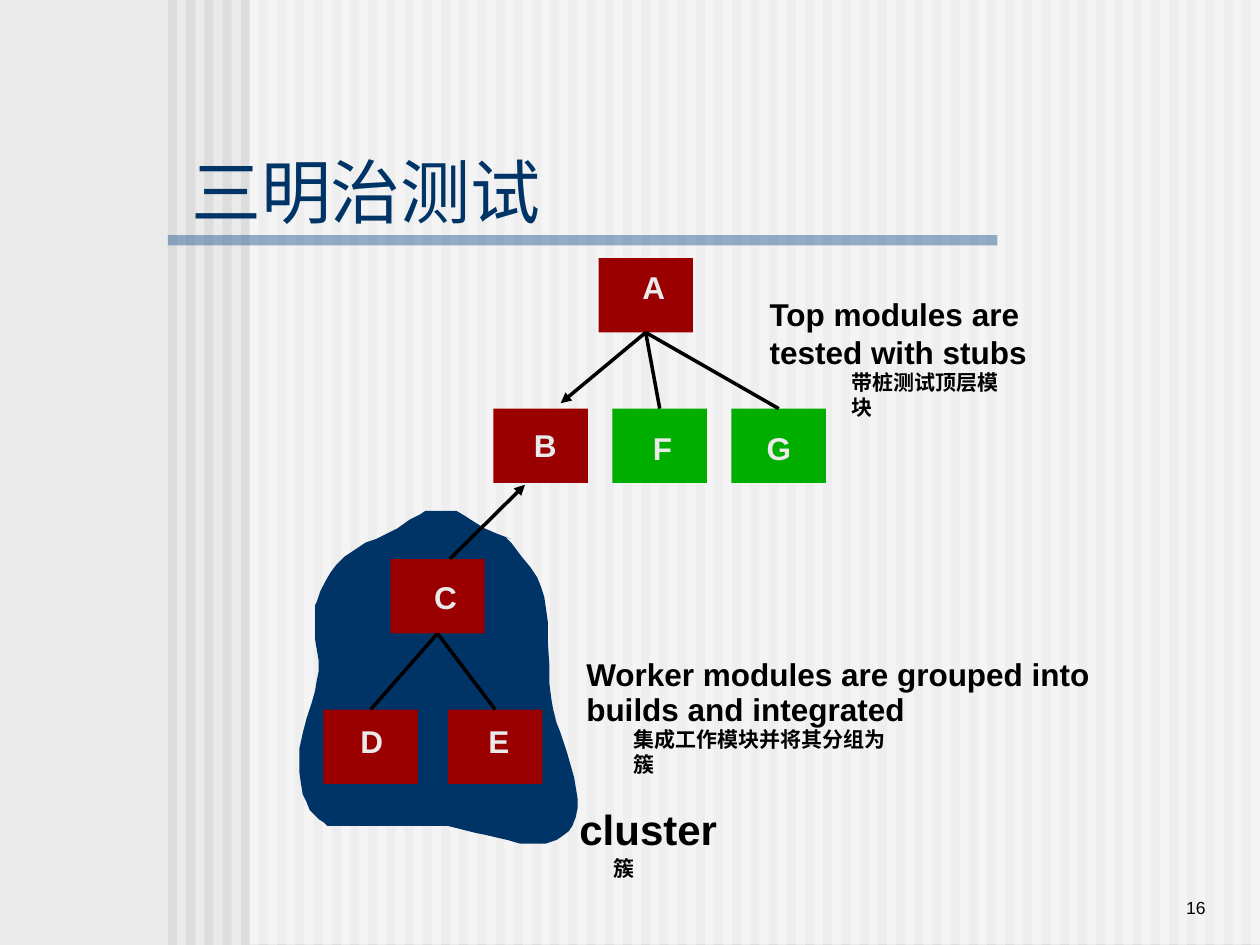
from lxml.etree import SubElement
from pptx import Presentation
from pptx.dml.color import RGBColor
from pptx.enum.shapes import MSO_CONNECTOR, MSO_SHAPE
from pptx.enum.text import MSO_ANCHOR, MSO_AUTO_SIZE, PP_ALIGN
from pptx.oxml.ns import qn
from pptx.util import Pt

NAVY, RED, GREEN = "003366", "9A0000", "00AE00"
BLACK, PALE = "000000", "EAEAEA"
MODULE_WIDTH, MODULE_HEIGHT = 54, 42.5
FIRST_ROW, ROW_STEP = 147.5, 86
TOP, BOTTOM = 0, 2

# name: (left, row, colour, label left, label top within the module)
MODULES = {
    "A": (342, 0, RED, 18, 2),
    "B": (282, 1, RED, 16, 6.5),
    "C": (223, 2, RED, 18, 7.5),
    "D": (184.8, 3, RED, 14, 3.5),
    "E": (256, 3, RED, 16, 3.5),
    "F": (350, 1, GREEN, 16, 8),
    "G": (418, 1, GREEN, 13, 8),
}
CALLS = [("C", "D"), ("C", "E"), ("A", "F"), ("A", "G")]

# left, top, width, height, size, lines
NOTES = [
    (479.5, 207.4, 110, 21.6, 12, ["带桩测试顶层模块"]),
    (343.4, 485.3, 26, 21.6, 12, ["簇"]),
    (355, 411.8, 170, 21.6, 12, ["集成工作模块并将其分组为簇"]),
    (432.7, 164.9, 161.3, 50.4, 18, ["Top modules are", "tested with stubs"]),
    (328, 370.8, 307.4, 28.8, 18, ["Worker modules are grouped into"]),
    (328, 391, 196.6, 28.8, 18, ["builds and integrated"]),
    (324, 455.8, 92.9, 36, 24, ["cluster"]),
]

CLUSTER_OUTLINE = [
    (292, 308), (284, 305), (277, 302), (269, 297), (266, 295), (261, 292),
    (256, 291.6), (248, 291.6), (243, 292), (240, 294), (234, 297), (227, 302),
    (221, 305), (215, 308), (209, 310), (203, 314), (197, 318), (192, 323),
    (189, 327), (186, 332), (183, 338), (181, 344), (180, 346), (180, 365),
    (181, 371), (182, 377), (182, 384), (181, 389), (180, 395), (178, 402),
    (175, 411), (173, 419), (171, 428), (171, 441), (172, 448), (173, 454),
    (175, 458), (177, 463), (179, 465), (182, 468), (185, 470), (187, 472),
    (191, 472.5), (256, 472.5), (264, 474), (272, 476), (277, 477), (290, 480),
    (297, 481.7), (312, 481.7), (318, 480), (321, 478), (325, 475), (327, 472),
    (329, 467), (330, 462), (330, 456), (328, 444), (326, 437), (324, 430),
    (320, 418), (318, 413), (316, 405), (315, 399), (314, 391), (314, 381),
    (313, 366), (313, 355), (312, 348), (311, 341), (309, 335), (307, 330),
    (303, 324), (298, 318), (292, 310), (289, 307),
]


def rgb(colour):
    return RGBColor.from_string(colour)


def paint(shape, colour, opacity=100):
    """Give a shape a flat fill, without line or shadow."""
    shape.shadow.inherit = False
    shape.line.fill.background()
    shape.fill.solid()
    shape.fill.fore_color.rgb = rgb(colour)
    if opacity < 100:
        srgb = shape._element.spPr.find(qn("a:solidFill")).find(qn("a:srgbClr"))
        SubElement(srgb, qn("a:alpha")).set("val", str(opacity * 1000))


def add_rect(slide, left, top, width, height, colour, opacity=100):
    rect = slide.shapes.add_shape(
        MSO_SHAPE.RECTANGLE, Pt(left), Pt(top), Pt(width), Pt(height))
    paint(rect, colour, opacity)
    return rect


def write_line(paragraph, words, size, colour, bold=False):
    run = paragraph.add_run()
    run.text = words
    run.font.name = "Arial"
    run.font.size = Pt(size)
    run.font.bold = bold
    run.font.color.rgb = rgb(colour)


def add_label(slide, left, top, width, height, size, lines, colour=BLACK):
    """Add bold text that does not wrap."""
    frame = slide.shapes.add_textbox(
        Pt(left), Pt(top), Pt(width), Pt(height)).text_frame
    frame.word_wrap = False
    frame.auto_size = MSO_AUTO_SIZE.SHAPE_TO_FIT_TEXT
    for index, words in enumerate(lines):
        paragraph = frame.add_paragraph() if index else frame.paragraphs[0]
        write_line(paragraph, words, size, colour, bold=True)


def add_line(slide, start=(0, 0), end=(0, 0), arrow=False):
    line = slide.shapes.add_connector(
        MSO_CONNECTOR.STRAIGHT, *(Pt(value) for value in (*start, *end)))
    line.line.color.rgb = rgb(BLACK)
    line.line.width = Pt(2)
    properties = line._element.spPr
    if arrow:
        SubElement(properties.find(qn("a:ln")), qn("a:tailEnd")).set("type", "triangle")
    SubElement(properties, qn("a:effectLst"))
    return line


def add_backdrop(slide):
    slide.background.fill.solid()
    slide.background.fill.fore_color.rgb = rgb(PALE)
    for stripe in range(60):
        add_rect(slide, 96 + 10.4 * stripe, 0, 5.2, 540, "DDDDDD")
    add_rect(slide, 142.5, 0, 577.5, 539.5, "FFFFFF", 50)
    add_rect(slide, 96, 134.4, 474, 5.8, "336699", 50)


def set_title(slide, words):
    title = slide.shapes.title
    slide.shapes._spTree.append(title._element)  # in front of the backdrop
    title.left, title.top, title.width, title.height = Pt(102), Pt(90), Pt(457), Pt(37.5)
    frame = title.text_frame
    frame.auto_size = MSO_AUTO_SIZE.NONE
    frame.vertical_anchor = MSO_ANCHOR.MIDDLE
    frame.paragraphs[0].alignment = PP_ALIGN.LEFT
    write_line(frame.paragraphs[0], words, 40, NAVY)


def add_page_number(slide, number):
    frame = slide.shapes.add_textbox(Pt(594), Pt(492), Pt(102), Pt(36)).text_frame
    frame.word_wrap = True
    frame.vertical_anchor = MSO_ANCHOR.BOTTOM
    frame.paragraphs[0].alignment = PP_ALIGN.RIGHT
    write_line(frame.paragraphs[0], number, 10, BLACK)


def add_cluster(slide):
    outline = slide.shapes.build_freeform(*CLUSTER_OUTLINE[0], scale=Pt(1))
    outline.add_line_segments(CLUSTER_OUTLINE[1:], close=True)
    paint(outline.convert_to_shape(), NAVY)


def add_module_tree(slide):
    modules = {}
    for name, (left, row, colour, label_left, label_top) in MODULES.items():
        top = FIRST_ROW + ROW_STEP * row
        modules[name] = add_rect(slide, left, top, MODULE_WIDTH, MODULE_HEIGHT, colour)
        add_label(slide, left + label_left, top + label_top, 27.4, 28.8, 18, [name], PALE)
    for caller, called in CALLS:
        line = add_line(slide)
        line.begin_connect(modules[caller], BOTTOM)
        line.end_connect(modules[called], TOP)
    add_line(slide, end=(320.4, 230.4), arrow=True).begin_connect(modules["A"], BOTTOM)
    add_line(slide, (257, 319.5), (300, 277), arrow=True)


def main():
    deck = Presentation()
    deck.slide_width, deck.slide_height = Pt(720), Pt(540)
    slide = deck.slides.add_slide(deck.slide_layouts[5])
    add_backdrop(slide)
    set_title(slide, "三明治测试")
    add_page_number(slide, "16")
    add_cluster(slide)
    add_module_tree(slide)
    for note in NOTES:
        add_label(slide, *note)
    deck.save("out.pptx")


if __name__ == "__main__":
    main()
